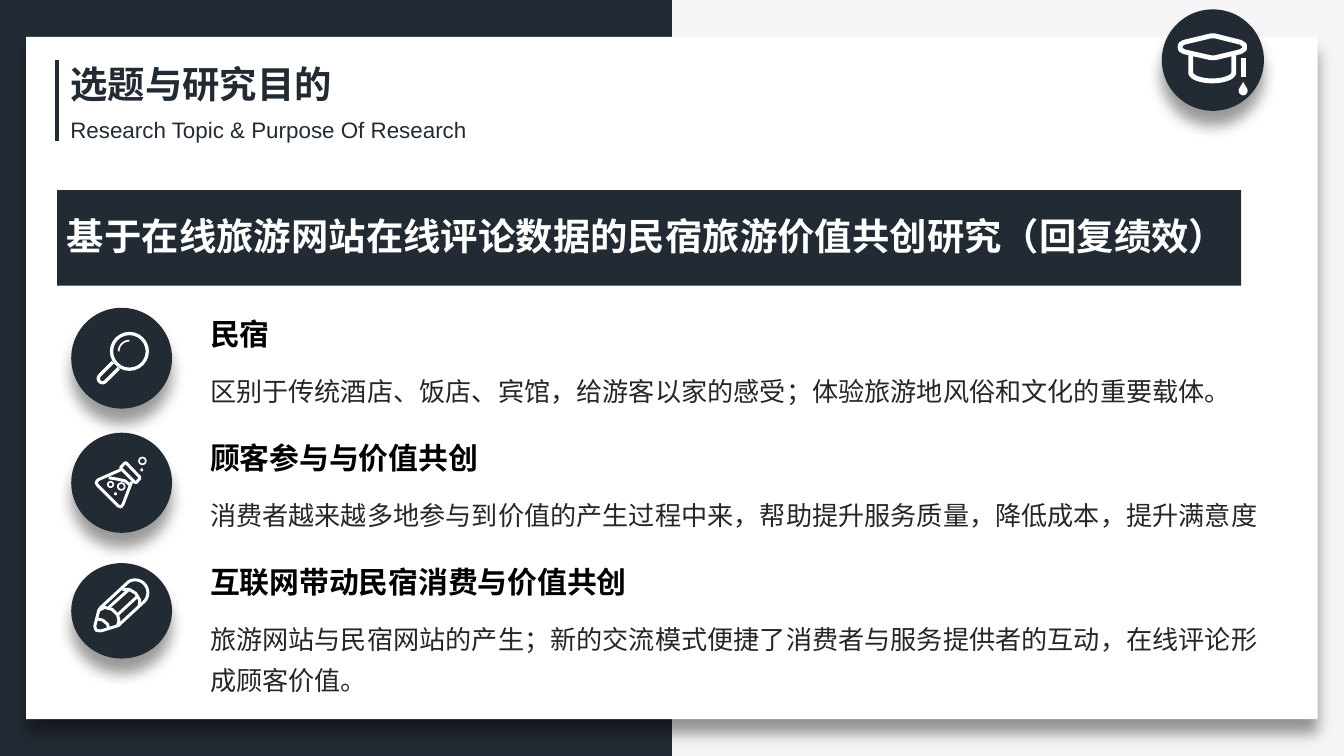
from math import cos, radians, sin

from lxml import etree
from pptx import Presentation
from pptx.dml.color import RGBColor
from pptx.enum.shapes import MSO_CONNECTOR, MSO_SHAPE as SHAPE
from pptx.enum.text import MSO_AUTO_SIZE
from pptx.oxml import parse_xml
from pptx.oxml.ns import qn
from pptx.util import Inches, Pt

# The grid has square cells: 100 columns by 56.25 rows.
CELL = Inches(0.1)
NAVY, WHITE, PALE, BLACK, GREY = "222B34", "FFFFFF", "F6F4F7", "000000", "262626"
HAN, LATIN, BODY = "Noto Sans CJK SC", "Arial", "Calibri"
rgb = RGBColor.from_string
SHADOW = parse_xml(
    '<a:outerShdw xmlns:a="http://schemas.openxmlformats.org/drawingml/2006/main"'
    f' blurRad="{Pt(8)}" dist="{Pt(8)}" dir="5400000" algn="t" rotWithShape="0">'
    '<a:srgbClr val="000000"><a:alpha val="40000"/></a:srgbClr></a:outerShdw>')

deck = Presentation()
deck.slide_width, deck.slide_height = 100 * CELL, int(56.25 * CELL)
slide = deck.slides.add_slide(deck.slide_layouts[6])
slide.background.fill.solid()
slide.background.fill.fore_color.rgb = rgb(PALE)
shapes = slide.shapes


def add_block(kind, box, color, raised=False):
    """Add a filled shape without outline; a raised one casts a soft shadow."""
    block = shapes.add_shape(kind, *(int(v * CELL) for v in box))
    block.fill.solid()
    block.fill.fore_color.rgb = rgb(color)
    block.line.fill.background()
    block.shadow.inherit = False
    if raised:
        effects = block._element.spPr.find(qn("a:effectLst"))
        effects.append(etree.fromstring(etree.tostring(SHADOW)))


def arc(x, y, rx, ry, start=0, end=360):
    """Points on an ellipse, clockwise in degrees from the right."""
    steps = 24
    angles = [radians(start + (end - start) * i / steps) for i in range(steps + 1)]
    return [(x + rx * cos(a), y + ry * sin(a)) for a in angles]


# Backdrop, card, heading rule and topic banner
add_block(SHAPE.RECTANGLE, (0, 0, 50, 56.25), NAVY)
add_block(SHAPE.RECTANGLE, (1.95, 2.75, 96.1, 50.75), WHITE, raised=True)
heading_rule = shapes.add_connector(
    MSO_CONNECTOR.STRAIGHT, *(int(v * CELL) for v in (4.25, 4.5, 4.25, 10.5)))
heading_rule.line.color.rgb = rgb(NAVY)
heading_rule.line.width = Pt(2.25)
etree.SubElement(heading_rule._element.spPr, qn("a:effectLst"))
add_block(SHAPE.RECTANGLE, (4.25, 14.15, 88.1, 7.1), NAVY)

# Badges
for badge in ((86.45, 0.7, 7.6, 7.55), (5.3, 22.9, 7.5, 7.5),
              (5.3, 32.2, 7.5, 7.45), (5.3, 41.9, 7.5, 7.1)):
    add_block(SHAPE.OVAL, badge, NAVY, raised=True)

# Icons: stroke width in points (0 means solid) and contours in cells
cap = [
    [(87.8, 3.5), (87.85, 3.3), (88.1, 3.15), (90.1, 2.67), (90.4, 2.67), (92.3, 3.15),
     (92.6, 3.35), (92.6, 3.65), (92.3, 3.85), (90.4, 4.3), (90.1, 4.3), (88.1, 3.85),
     (87.85, 3.7), (87.8, 3.5)],
    [(88.6, 4.1), *arc(90.2, 5.4, 1.6, 0.62, 180, 0), (91.8, 4.1)],
    [(92.5, 4.3), (92.5, 5.75)],
]
tassel = [[(92.5, 6.1), *arc(92.5, 6.75, 0.33, 0.35, -20, 200), (92.5, 6.1)]]
magnifier = [
    arc(9.63, 26.15, 1.33, 1.33),
    [(8.4, 26.95), (7.45, 27.9), *arc(7.63, 28.17, 0.31, 0.31, 225, 45), (8.85, 27.4)],
]
glint = [arc(9.63, 26.15, 0.8, 0.8, 180, 270)]
flask = [
    [(9, 34.95), (7.3, 35.7), (7.15, 35.9), (7.25, 36.1), (8.8, 37.65), (9, 37.72),
     (9.15, 37.55), (9.8, 35.85)],
    [(9, 34.85), (9, 34.75), (9.3, 34.45), (9.4, 34.45), (10.4, 35.5), (10.4, 35.6),
     (10.15, 35.9), (10.05, 35.9), (9, 34.85)],
    [(8.1, 35.55), (8.7, 35.65), (9.3, 35.78), (9.7, 36.1)],
]
bubbles = [arc(x, y, r, r) for x, y, r in
           ((9.03, 36.2, 0.25), (10.6, 34.3, 0.25), (8.23, 36.05, 0.2))]
dots = [arc(x, y, 0.11, 0.11) for x, y in ((8.6, 36.75), (10.55, 34.97))]
pencil = [
    [(7.05, 46.6), (7.35, 45.4), (7.5, 45.2), (9.55, 43.3),
     *arc(10.05, 44.1, 0.95, 0.95, -120, 45), (8.8, 46.55), (7.5, 46.95),
     (7.15, 46.9), (7.05, 46.6)],
    [(7.4, 45.4), (7.8, 45.2), (8.35, 45.35), (8.75, 45.75), (8.85, 46.15), (8.75, 46.55)],
    [(7.2, 46.05), (7.65, 46.15), (8, 46.45), (8.1, 46.8)],
    [(9.1, 43.85), (9.6, 43.85), (10.1, 44.15), (10.4, 44.65), (10.35, 45.1)],
    [(8.1, 45.2), (9.55, 43.9)],
    [(8.8, 45.7), (10.2, 44.4)],
]
for width, contours in ((2.6, cap), (0, tassel), (1.75, magnifier), (0.9, glint),
                        (1.6, flask), (0.9, bubbles), (0, dots), (1.6, pencil)):
    paths = [[(int(x * CELL), int(y * CELL)) for x, y in contour] for contour in contours]
    builder = shapes.build_freeform(*paths[0][0])
    for path_points in paths:
        builder.move_to(*path_points[0])
        builder.add_line_segments(path_points[1:], close=False)
    icon = builder.convert_to_shape()
    icon.shadow.inherit = False
    painted, bare = (icon.line.fill, icon.fill) if width else (icon.fill, icon.line.fill)
    bare.background()
    painted.solid()
    painted.fore_color.rgb = rgb(WHITE)
    if width:
        icon.line.width = Pt(width)

# Wording: text, box in cells, wrap, font format, paragraph format
banner_font = dict(size=Pt(20), name=HAN, bold=True)
topic_font = dict(size=Pt(16), name=BODY, bold=True)
detail_font = dict(size=Pt(14), name=BODY)
spaced = dict(line_spacing=1.3, space_before=Pt(6))
wording = [
    ("基于在线旅游网站在线评论数据的民宿旅游价值共创研究（回复绩效）",
     (4, 15.4, 91.8, 4.4), False, WHITE, banner_font, {}),
    ("选题与研究目的", (4.25, 4.1, 21.7, 4.4), False, NAVY, banner_font, {}),
    ("Research Topic & Purpose Of Research",
     (4.25, 8.15, 32.6, 3), False, NAVY, dict(size=Pt(12), name=LATIN), {}),
]
topics = [
    ("民宿", 6.5, "区别于传统酒店、饭店、宾馆，给游客以家的感受；体验旅游地风俗和文化的重要载体。", 3.8),
    ("顾客参与与价值共创", 22.2,
     "消费者越来越多地参与到价值的产生过程中来，帮助提升服务质量，降低成本，提升满意度", 3.8),
    ("互联网带动民宿消费与价值共创", 33.4,
     "旅游网站与民宿网站的产生；新的交流模式便捷了消费者与服务提供者的互动，在线评论形成顾客价值。", 6.9),
]
for row, (topic, topic_width, detail, detail_height) in enumerate(topics):
    top = 23 + 9.23 * row
    wording += [
        (topic, (14.65, top, topic_width, 3.7), False, BLACK, topic_font, {}),
        (detail, (14.65, top + 3.75, 80, detail_height), True, GREY, detail_font, spaced),
    ]
for words, box, wrap, color, font_format, paragraph_format in wording:
    frame = shapes.add_textbox(*(int(v * CELL) for v in box)).text_frame
    frame.word_wrap = wrap
    frame.auto_size = MSO_AUTO_SIZE.SHAPE_TO_FIT_TEXT
    paragraph = frame.paragraphs[0]
    run = paragraph.add_run()
    run.text = words
    for target, values in ((paragraph, paragraph_format), (run.font, font_format)):
        for key, value in values.items():
            setattr(target, key, value)
    run.font.color.rgb = rgb(color)
    etree.SubElement(run._r.get_or_add_rPr(), qn("a:ea"), typeface=HAN)

deck.save("out.pptx")
